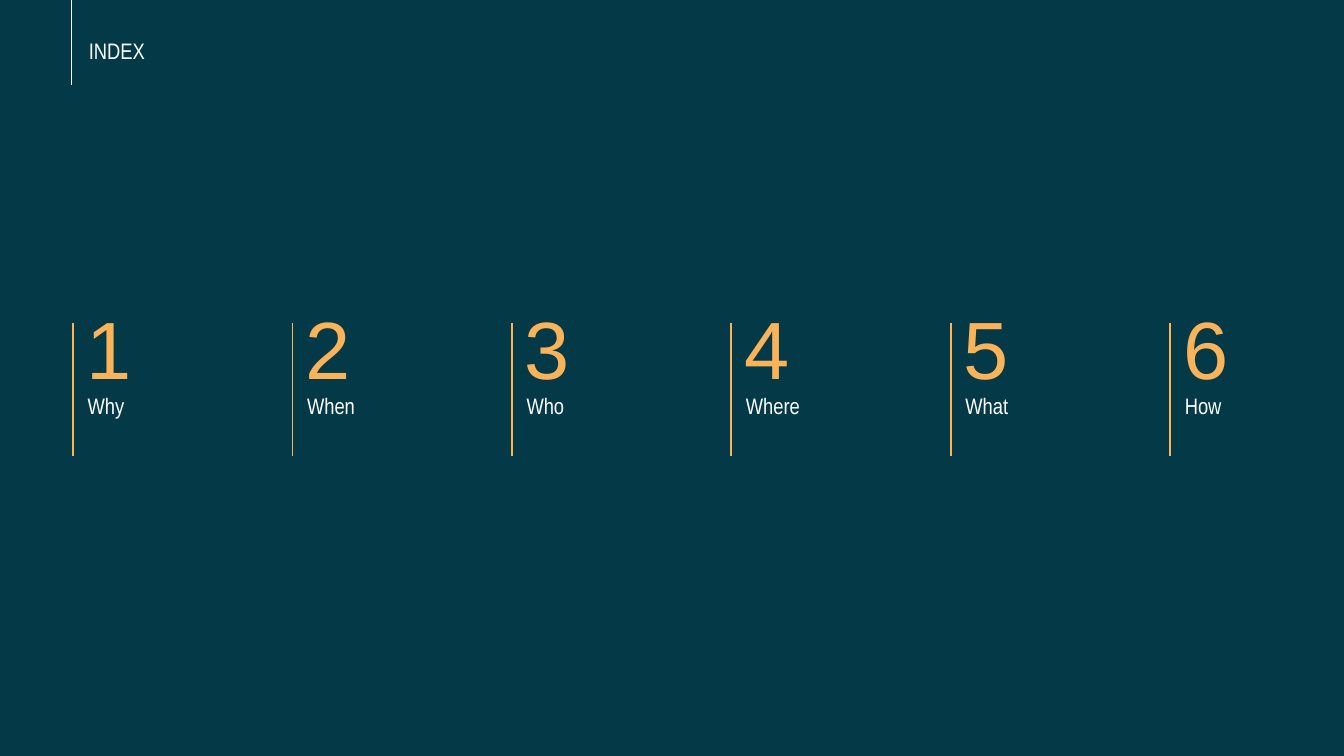
from dataclasses import dataclass

from lxml import etree
from pptx import Presentation
from pptx.dml.color import RGBColor
from pptx.enum.shapes import MSO_CONNECTOR
from pptx.enum.text import MSO_ANCHOR, MSO_AUTO_SIZE, PP_ALIGN
from pptx.oxml.ns import qn
from pptx.util import Cm, Pt

STRAIGHT = MSO_CONNECTOR.STRAIGHT
TOP = MSO_ANCHOR.TOP
LEFT = PP_ALIGN.LEFT
NO_AUTOFIT = MSO_AUTO_SIZE.NONE
GROW = MSO_AUTO_SIZE.SHAPE_TO_FIT_TEXT
TITLE_ONLY_LAYOUT = 5

QUESTIONS = ["Why", "When", "Who", "Where", "What", "How"]
FIRST_COLUMN = 1.84
COLUMN_PITCH = 5.53


@dataclass(frozen=True)
class Theme:
    background: str = "043A47"
    text: str = "FFFFFF"
    number: str = "FBB35A"
    rule: str = "FDB451"
    text_font: str = "Arial Narrow"
    number_font: str = "Arial"
    text_size: float = 16
    number_size: float = 58
    number_spacing: float = 50
    rule_width: float = 1.25


def write_text(shape, text, *, font, size, color, margins=(0, 0, 0, 0),
               wrap=True, autosize=NO_AUTOFIT, line_spacing=1.0):
    """Fill a shape with one left-aligned paragraph; margins are left, top, right, bottom in cm."""
    frame = shape.text_frame
    frame.word_wrap = wrap
    frame.auto_size = autosize
    frame.vertical_anchor = TOP
    (frame.margin_left, frame.margin_top,
     frame.margin_right, frame.margin_bottom) = map(Cm, margins)
    paragraph = frame.paragraphs[0]
    paragraph.alignment = LEFT
    paragraph.line_spacing = line_spacing
    run = paragraph.add_run()
    run.text = text
    run.font.name = font
    run.font.size = Pt(size)
    run.font.color.rgb = RGBColor.from_string(color)


class IndexSlide:
    def __init__(self, presentation, theme):
        self.theme = theme
        layout = presentation.slide_layouts[TITLE_ONLY_LAYOUT]
        self.slide = presentation.slides.add_slide(layout)
        fill = self.slide.background.fill
        fill.solid()
        fill.fore_color.rgb = RGBColor.from_string(theme.background)

    def title(self, text, left, top, width, height):
        shape = self.slide.shapes.title
        shape.left, shape.top, shape.width, shape.height = map(
            Cm, (left, top, width, height))
        write_text(shape, text, font=self.theme.text_font,
                   size=self.theme.text_size, color=self.theme.text,
                   margins=(0, 0.13, 0.25, 0.13), line_spacing=0.9)

    def vertical_rule(self, shapes, left, top, bottom, color):
        rule = shapes.add_connector(
            STRAIGHT, Cm(left), Cm(top), Cm(left), Cm(bottom))
        rule.line.color.rgb = RGBColor.from_string(color)
        rule.line.width = Pt(self.theme.rule_width)
        etree.SubElement(rule.line._get_or_add_ln().getparent(),
                         qn("a:effectLst"))

    def number(self, shapes, text, left, top):
        box = shapes.add_textbox(Cm(left), Cm(top), Cm(1.27), Cm(2.92))
        write_text(box, text, font=self.theme.number_font,
                   size=self.theme.number_size, color=self.theme.number,
                   margins=(0.13, 0.89, 0.13, 0.08), wrap=False,
                   autosize=GROW, line_spacing=Pt(self.theme.number_spacing))

    def label(self, shapes, text, left, top):
        box = shapes.add_textbox(Cm(left), Cm(top), Cm(1.83), Cm(2.67))
        write_text(box, text, font=self.theme.text_font,
                   size=self.theme.text_size, color=self.theme.text)

    def entry(self, position, question, left):
        """Group the rule, number and label of one index entry."""
        shapes = self.slide.shapes.add_group_shape().shapes
        self.number(shapes, str(position), left + 0.2, 7.32)
        self.label(shapes, question, left + 0.37, 9.88)
        self.vertical_rule(shapes, left, 8.13, 11.48, self.theme.rule)


def main():
    presentation = Presentation()
    presentation.slide_width = Cm(33.87)
    presentation.slide_height = Cm(19.05)
    theme = Theme()
    index = IndexSlide(presentation, theme)
    index.vertical_rule(index.slide.shapes, 1.8, 0, 2.13, theme.text)
    index.title("INDEX", 2.24, 0.89, 15.19, 0.94)
    for column, question in enumerate(QUESTIONS):
        index.entry(column + 1, question, FIRST_COLUMN + column * COLUMN_PITCH)
    presentation.save("out.pptx")


if __name__ == "__main__":
    main()
